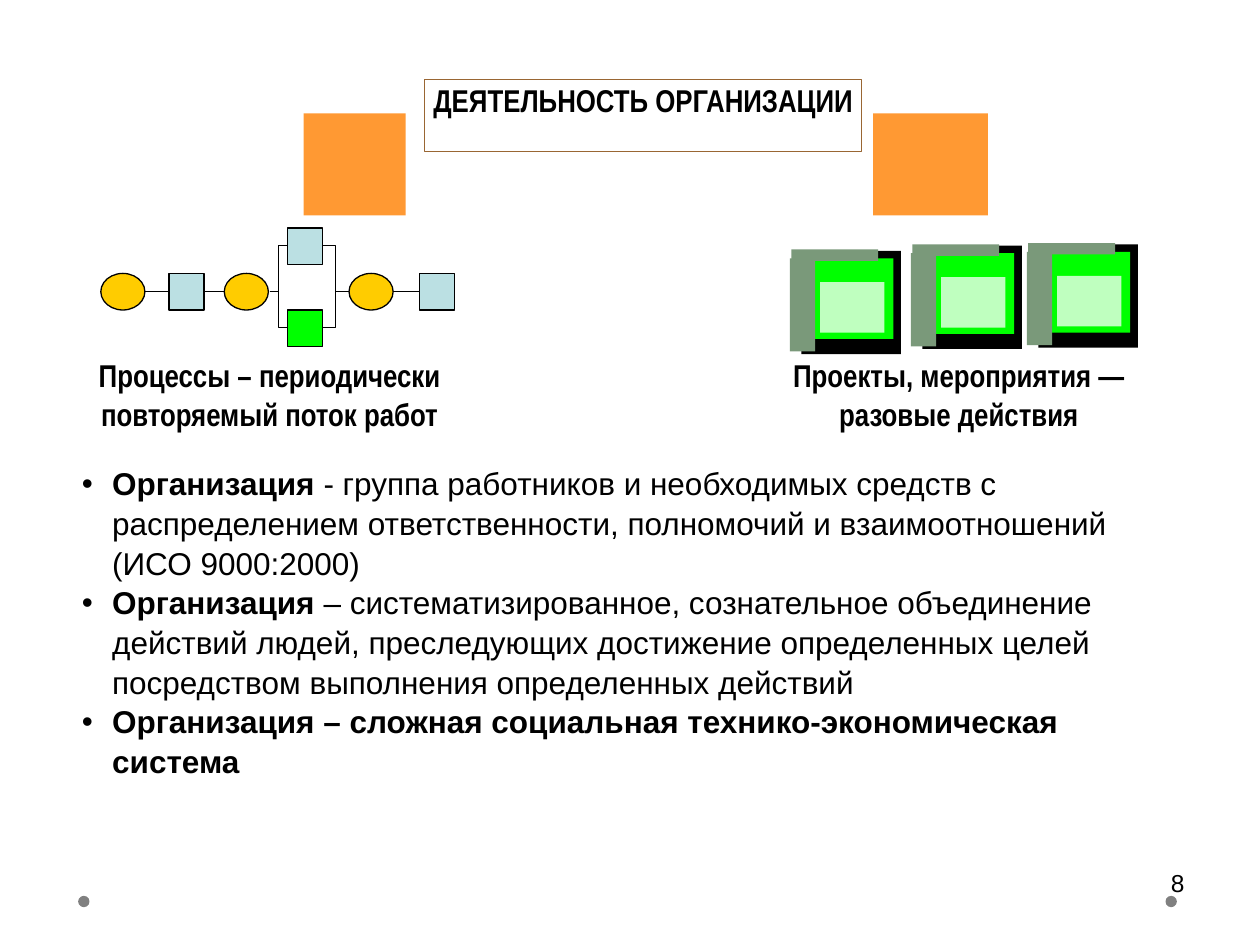
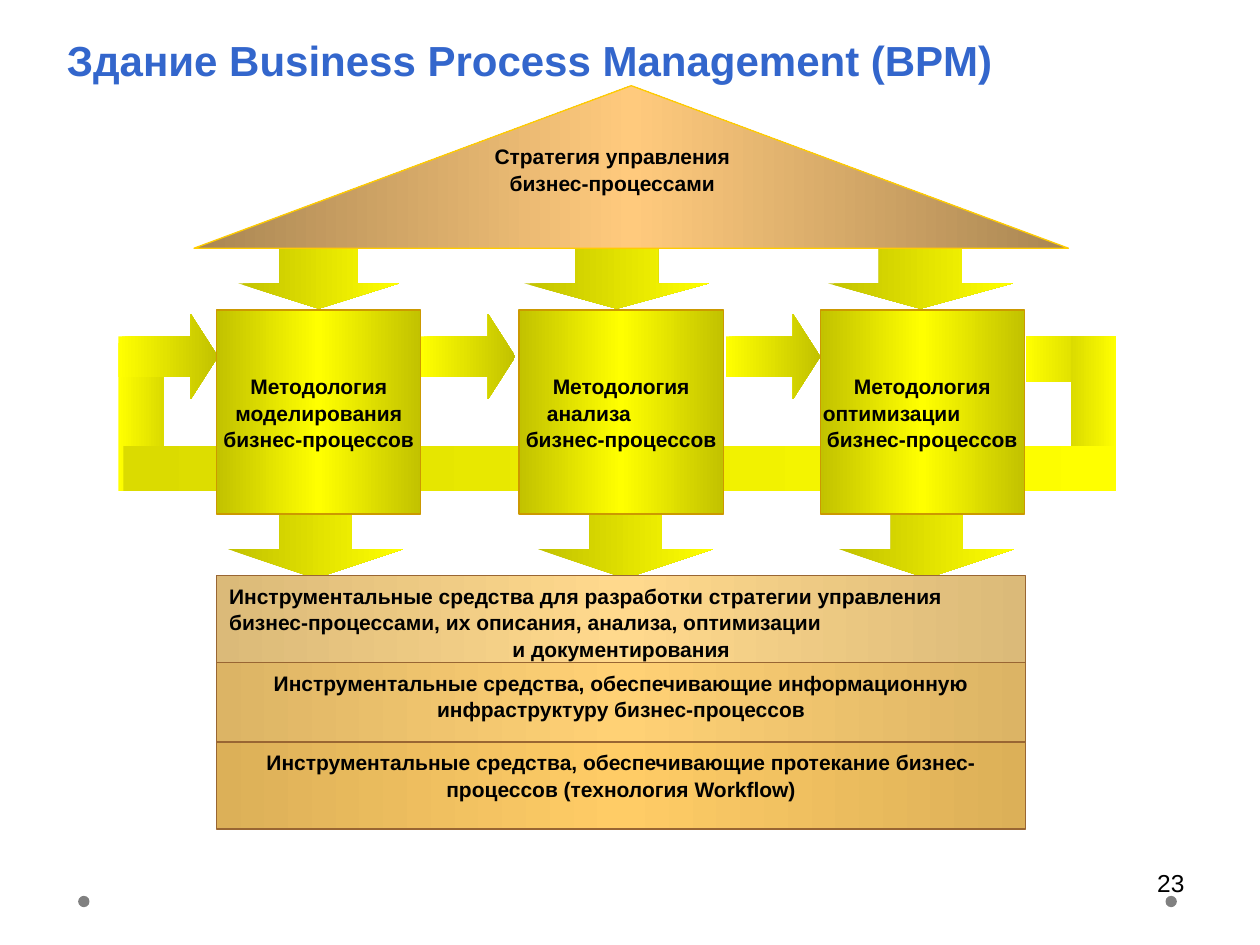
"""Build two slides on organisational activity and business process management."""
from lxml.etree import SubElement
from pptx import Presentation
from pptx.dml.color import RGBColor
from pptx.enum.shapes import MSO_CONNECTOR, MSO_SHAPE
from pptx.enum.text import MSO_ANCHOR, MSO_AUTO_SIZE, PP_ALIGN
from pptx.oxml.ns import qn
from pptx.util import Inches, Pt

BLACK = RGBColor(0x00, 0x00, 0x00)
WHITE = RGBColor(0xFF, 0xFF, 0xFF)
DOT_GREY = RGBColor(0x80, 0x80, 0x80)
TITLE_BLUE = RGBColor(0x33, 0x66, 0xCC)
PALE_BLUE = RGBColor(0xBB, 0xE0, 0xE3)
GREEN = RGBColor(0x00, 0xFF, 0x00)
PALE_GREEN = RGBColor(0xBF, 0xFF, 0xBF)
GREY_GREEN = RGBColor(0x7A, 0x99, 0x7A)
GOLD = RGBColor(0xFF, 0xCC, 0x00)
ORANGE = RGBColor(0xFF, 0x99, 0x33)
BROWN = RGBColor(0x99, 0x66, 0x33)
OCHRE = RGBColor(0xCC, 0x99, 0x00)
YELLOW = RGBColor(0xFF, 0xFF, 0x00)
OLIVE = RGBColor(0xC2, 0xC2, 0x00)
DARK_YELLOW = RGBColor(0xDB, 0xDB, 0x00)
ROOF_EDGE = RGBColor(0xA9, 0x86, 0x53)
ROOF_MIDDLE = RGBColor(0xFF, 0xCA, 0x7D)

LEFT, CENTER, RIGHT = PP_ALIGN.LEFT, PP_ALIGN.CENTER, PP_ALIGN.RIGHT
TOP, MIDDLE = MSO_ANCHOR.TOP, MSO_ANCHOR.MIDDLE
LINE_WIDTH = Pt(0.75)


def add_box(slide, kind, left, top, width, height, fill, line=None, adjustments=()):
    """Add a preset shape with a solid or left-to-right gradient fill."""
    shape = slide.shapes.add_shape(kind, Inches(left), Inches(top), Inches(width), Inches(height))
    shape.shadow.inherit = False
    for index, value in enumerate(adjustments):
        shape.adjustments[index] = value
    if isinstance(fill, RGBColor):
        shape.fill.solid()
        shape.fill.fore_color.rgb = fill
    else:
        shape.fill.gradient()
        shape.fill.gradient_angle = 0
        stops = shape._element.spPr.find(".//" + qn("a:gsLst"))
        stops.clear()
        for index, color in enumerate(fill):
            stop = SubElement(stops, qn("a:gs"), pos=str(index * 100000 // (len(fill) - 1)))
            SubElement(stop, qn("a:srgbClr"), val=str(color))
    if line is None:
        shape.line.fill.background()
    else:
        shape.line.color.rgb = line
        shape.line.width = LINE_WIDTH
    return shape


def write_text(shape, paragraphs, size, margins=(0.1, 0.05), anchor=TOP, name="Arial", color=BLACK):
    """Write (alignment, indent, bold text, plain text) paragraphs into a shape."""
    frame = shape.text_frame
    horizontal, vertical = (Inches(margin) for margin in margins)
    frame_format = {
        "word_wrap": True, "auto_size": MSO_AUTO_SIZE.NONE, "vertical_anchor": anchor,
        "margin_left": horizontal, "margin_right": horizontal,
        "margin_top": vertical, "margin_bottom": vertical,
    }
    for attribute, value in frame_format.items():
        setattr(frame, attribute, value)
    for index, (alignment, indent, bold_text, plain_text) in enumerate(paragraphs):
        paragraph = frame.add_paragraph() if index else frame.paragraphs[0]
        paragraph_format = {
            "alignment": alignment, "line_spacing": 1.05,
            "space_before": Pt(0), "space_after": Pt(0),
        }
        for attribute, value in paragraph_format.items():
            setattr(paragraph, attribute, value)
        if indent:
            paragraph._p.get_or_add_pPr().set("marL", str(Inches(indent)))
        for text, bold in ((bold_text, True), (plain_text, False)):
            if text:
                run = paragraph.add_run()
                run.text = text
                for attribute, value in {"name": name, "size": Pt(size), "bold": bold}.items():
                    setattr(run.font, attribute, value)
                run.font.color.rgb = color


presentation = Presentation()
presentation.slide_width, presentation.slide_height = Inches(10), Inches(7.5)
activity_slide = presentation.slides.add_slide(presentation.slide_layouts[1])
building_slide = presentation.slides.add_slide(presentation.slide_layouts[5])

for slide, number in ((activity_slide, "8"), (building_slide, "23")):
    for dot_left in (9.25, 0.62):
        add_box(slide, MSO_SHAPE.OVAL, dot_left, 7.11, 0.09, 0.09, DOT_GREY)
    number_box = slide.shapes.add_textbox(Inches(7.17), Inches(6.83), Inches(2.33), Inches(0.52))
    write_text(number_box, [(RIGHT, 0, "", number)], 14)

title = activity_slide.shapes.title
definitions = activity_slide.placeholders[1]
building_title = building_slide.shapes.title
for placeholder, bounds in (
    (title, (3.37, 0.63, 3.47, 0.57)),
    (definitions, (0.55, 3.62, 8.81, 2.64)),
    (building_title, (0.43, 0.13, 8.65, 0.67)),
):
    for attribute, value in zip(("left", "top", "width", "height"), bounds):
        setattr(placeholder, attribute, Inches(value))

title.line.color.rgb = BROWN
title.line.width = LINE_WIDTH
write_text(title, [(CENTER, 0, "ДЕЯТЕЛЬНОСТЬ ОРГАНИЗАЦИИ", "")], 18, (0, 0), name="Arial Narrow")
write_text(definitions, [
    (LEFT, 0.24, "Организация", " - группа работников и необходимых средств с распределением "
     "ответственности, полномочий и взаимоотношений (ИСО 9000:2000)"),
    (LEFT, 0.24, "Организация", " – систематизированное, сознательное объединение действий людей, "
     "преследующих достижение определенных целей посредством выполнения определенных действий"),
    (LEFT, 0.24, "Организация – сложная социальная технико-экономическая система", ""),
], 18)
for paragraph in definitions.text_frame.paragraphs:
    properties = paragraph._p.get_or_add_pPr()
    properties.set("indent", str(Inches(-0.24)))
    SubElement(properties, qn("a:buChar"), char="•")

NODE_TOP, NODE_HEIGHT, STEP_WIDTH, EVENT_WIDTH = 2.17, 0.29, 0.28, 0.35
FLOW_MIDDLE = NODE_TOP + NODE_HEIGHT / 2
first_step, last_step, upper_step, lower_step = [
    add_box(activity_slide, MSO_SHAPE.RECTANGLE, left, top, STEP_WIDTH, NODE_HEIGHT, fill, BLACK)
    for left, top, fill in (
        (1.34, NODE_TOP, PALE_BLUE), (3.33, NODE_TOP, PALE_BLUE),
        (2.28, 1.81, PALE_BLUE), (2.28, 2.46, GREEN),
    )
]
for event_left in (0.8, 1.78, 2.77):
    add_box(activity_slide, MSO_SHAPE.OVAL, event_left, NODE_TOP, EVENT_WIDTH, NODE_HEIGHT, GOLD, BLACK)

straight, elbow = MSO_CONNECTOR.STRAIGHT, MSO_CONNECTOR.ELBOW
flow_links = [
    (straight, 1.15, FLOW_MIDDLE, 1.34, FLOW_MIDDLE, None, first_step),
    (straight, 1.62, FLOW_MIDDLE, 1.78, FLOW_MIDDLE, first_step, None),
    (straight, 3.12, FLOW_MIDDLE, 3.33, FLOW_MIDDLE, None, last_step),
]
for branch_middle in (1.95, 2.6):
    flow_links.append((elbow, 2.14, FLOW_MIDDLE, 2.28, branch_middle, None, None))
    flow_links.append((elbow, 2.56, branch_middle, 2.77, FLOW_MIDDLE, None, None))
for kind, begin_x, begin_y, end_x, end_y, source, target in flow_links:
    connector = activity_slide.shapes.add_connector(
        kind, Inches(begin_x), Inches(begin_y), Inches(end_x), Inches(end_y))
    if source is not None:
        connector.begin_connect(source, 3)
    if target is not None:
        connector.end_connect(target, 1)
    connector.line.color.rgb = BLACK
    connector.line.width = LINE_WIDTH
    SubElement(connector._element.spPr, qn("a:effectLst"))

project_parts = (
    (0, 0, 0.94, 0.88, WHITE),
    (0.12, 0.03, 0.79, 0.82, BLACK),
    (0.21, 0.09, 0.64, 0.64, GREEN),
    (0.03, 0.09, 0.2, 0.74, GREY_GREEN),
    (0.04, 0.02, 0.69, 0.09, GREY_GREEN),
    (0.27, 0.28, 0.51, 0.4, PALE_GREEN),
)
for project_left, project_top in ((6.24, 1.96), (8.12, 1.91), (7.2, 1.92)):
    for left, top, width, height, fill in project_parts:
        add_box(activity_slide, MSO_SHAPE.RECTANGLE, project_left + left, project_top + top,
                width, height, fill)

for square_left, square_width in ((2.41, 0.81), (6.93, 0.91)):
    add_box(activity_slide, MSO_SHAPE.RECTANGLE, square_left, 0.9, square_width, 0.81, ORANGE)
for caption_left, caption in (
    (0.54, "Процессы – периодически повторяемый поток работ"),
    (6.01, "Проекты, мероприятия — разовые действия"),
):
    caption_box = activity_slide.shapes.add_textbox(
        Inches(caption_left), Inches(2.76), Inches(3.2), Inches(0.7))
    write_text(caption_box, [(CENTER, 0, caption, "")], 18, name="Arial Narrow")

write_text(building_title, [(LEFT, 0, "Здание Business Process Management (BPM)", "")], 24,
           anchor=MIDDLE, color=TITLE_BLUE)

for arrow_left in (1.81, 4.27, 6.66):
    add_box(building_slide, MSO_SHAPE.DOWN_ARROW, arrow_left, 4.08, 1.39, 0.51,
            (OLIVE, YELLOW), adjustments=(0.41, 0.454))
for arrow_left, arrow_width, shaft in ((1.89, 1.28, 0.484), (4.16, 1.47, 0.448), (6.57, 1.47, 0.448)):
    add_box(building_slide, MSO_SHAPE.DOWN_ARROW, arrow_left, 1.94, arrow_width, 0.51,
            (OLIVE, YELLOW), adjustments=(shaft, 0.396))

for left, top, width, height, fill in (
    (8.14, 2.67, 0.72, 0.36, (YELLOW, OLIVE)),
    (8.5, 2.67, 0.36, 1.23, (DARK_YELLOW, YELLOW)),
    (0.94, 2.72, 0.36, 1.18, (YELLOW, DARK_YELLOW)),
    (0.98, 3.54, 7.88, 0.36, (DARK_YELLOW, YELLOW)),
):
    add_box(building_slide, MSO_SHAPE.RECTANGLE, left, top, width, height, fill)
for arrow_left, arrow_width in ((0.94, 0.79), (3.34, 0.75), (5.76, 0.75)):
    add_box(building_slide, MSO_SHAPE.RIGHT_ARROW, arrow_left, 2.49, arrow_width, 0.68,
            (YELLOW, OLIVE), adjustments=(0.473, 0.32))

add_box(building_slide, MSO_SHAPE.ISOSCELES_TRIANGLE, 1.54, 0.68, 6.94, 1.29,
        (ROOF_EDGE, ROOF_MIDDLE, ROOF_EDGE), GOLD)
strategy_box = building_slide.shapes.add_textbox(Inches(3.67), Inches(1.13), Inches(2.38), Inches(0.48))
write_text(strategy_box, [(CENTER, 0, "Стратегия управления бизнес-процессами", "")], 12, (0.02, 0))

for pillar_left, lines in (
    (1.72, [(CENTER, 0, "моделирования бизнес-процессов", "")]),
    (4.12, [(LEFT, 0.2, "анализа", ""), (CENTER, 0, "бизнес-процессов", "")]),
    (6.51, [(LEFT, 0, "оптимизации", ""), (CENTER, 0, "бизнес-процессов", "")]),
):
    pillar = add_box(building_slide, MSO_SHAPE.RECTANGLE, pillar_left, 2.46, 1.62, 1.62,
                     (OLIVE, YELLOW, OLIVE), OCHRE)
    write_text(pillar, [(CENTER, 0, "Методология", "")] + lines, 12, (0.02, 0.01), MIDDLE)

for layer_top, layer_height, edge, middle, paragraphs in (
    (4.57, 0.69, RGBColor(0xDB, 0xBA, 0x79), RGBColor(0xFF, 0xD9, 0x8D), [
        (LEFT, 0, "Инструментальные средства для разработки стратегии управления "
         "бизнес-процессами, их описания, анализа, оптимизации", ""),
        (CENTER, 0, "и документирования", "")]),
    (5.26, 0.63, RGBColor(0xDC, 0xB4, 0x65), RGBColor(0xFF, 0xD1, 0x75), [
        (CENTER, 0, "Инструментальные средства, обеспечивающие информационную "
         "инфраструктуру бизнес-процессов", "")]),
    (5.89, 0.69, RGBColor(0xDC, 0xB0, 0x58), RGBColor(0xFF, 0xCC, 0x66), [
        (CENTER, 0, "Инструментальные средства, обеспечивающие протекание "
         "бизнес-процессов (технология Workflow)", "")]),
):
    layer = add_box(building_slide, MSO_SHAPE.RECTANGLE, 1.72, layer_top, 6.42, layer_height,
                    (edge, middle, edge), BROWN)
    write_text(layer, paragraphs, 12)

presentation.save("out.pptx")
